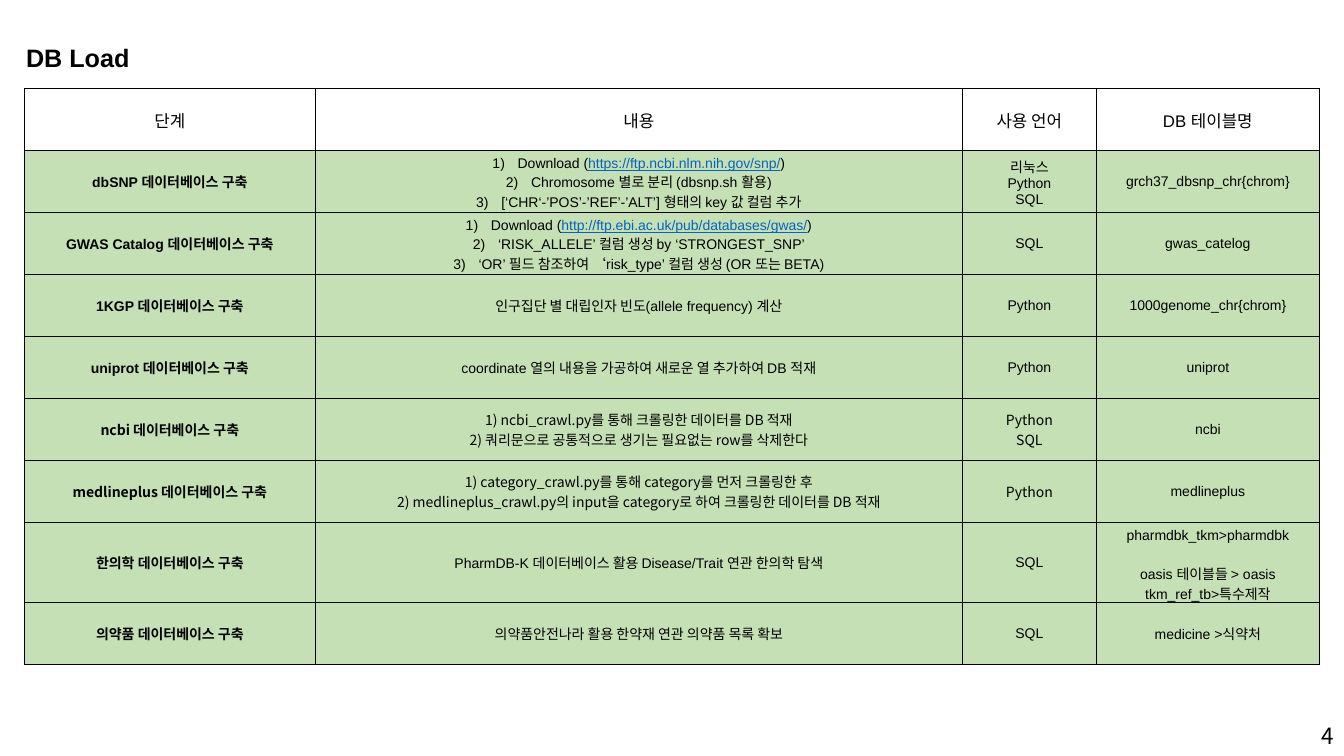
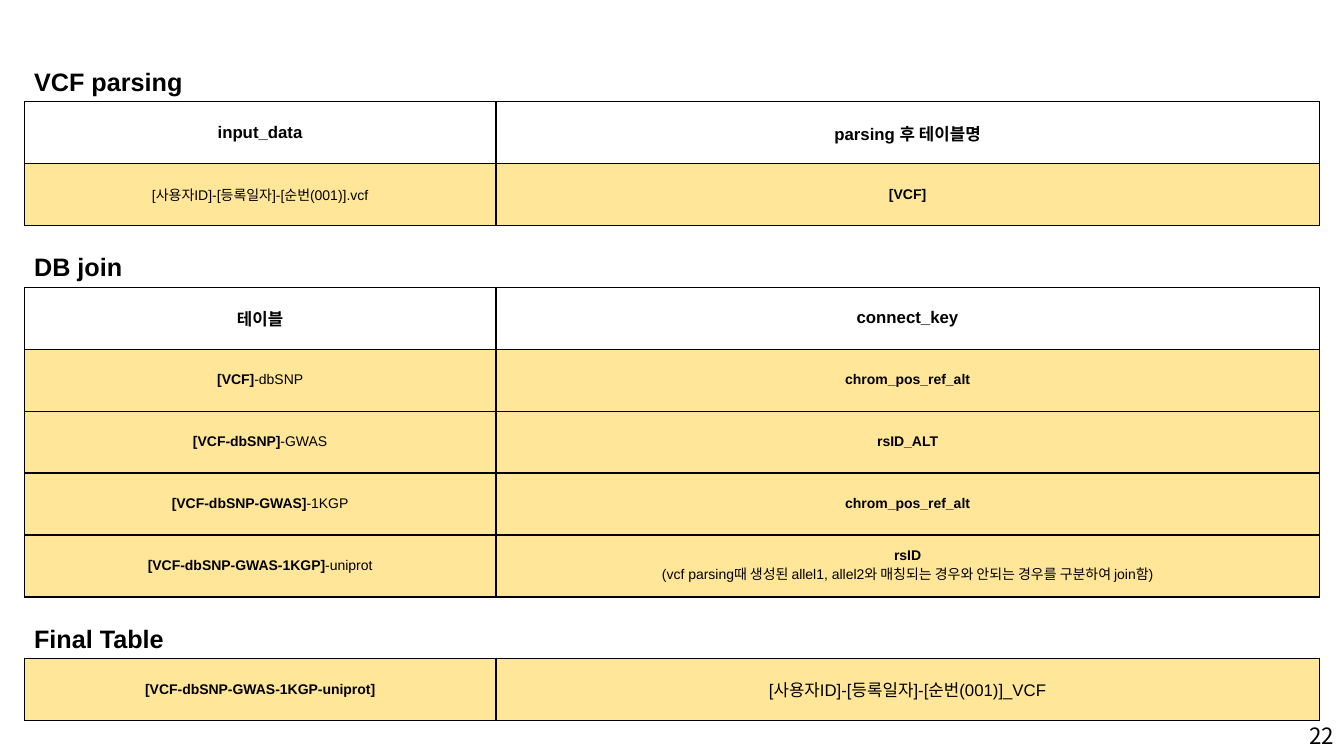
import collections
import pptx
import pptx.dml.color
import pptx.enum.text
import pptx.oxml.ns
import pptx.util
import lxml.etree

Pt = pptx.util.Pt
ALIGN = pptx.enum.text.PP_ALIGN
ANCHOR = pptx.enum.text.MSO_ANCHOR
HUES = {"ink": "000000", "page": "FFFFFF", "link": "0563C1",
        "green": "C5E0B4", "gold": "FFE699"}
SANS = "Arial"
NOTO = "Noto Sans CJK KR"
LEFT = 17.3
ROW = 44.3
HEAD = 28.8

Para = collections.namedtuple("Para", "runs bold num gap", defaults=(False, False, 0))
Cell = collections.namedtuple("Cell", "paras size font", defaults=(10, SANS))


def hue(name):
    return pptx.dml.color.RGBColor.from_string(HUES[name])


def node(base, tag, **attrs):
    return lxml.etree.SubElement(base, pptx.oxml.ns.qn(tag), attrs)


def plain(text, size=10, font=SANS, bold=False):
    return Cell([Para([(line, "")], bold) for line in text.split("\n")], size, font)


def strong(text, size=10, font=SANS):
    return plain(text, size, font, True)


def steps(*lines):
    return Cell([Para(line if isinstance(line, list) else [(line, "")], num=True)
                 for line in lines])


def load(url):
    return [("Download (", ""), (url, "link"), (")", "")]


def joint(base, added):
    return Cell([Para([(base, "bold"), (added, "")])])


def write(frame, cell, align):
    for i, item in enumerate(cell.paras):
        para = frame.paragraphs[0] if i == 0 else frame.add_paragraph()
        para.alignment = align
        if item.gap:
            para.space_before = Pt(item.gap)
        if item.num:
            props = para._p.get_or_add_pPr()
            props.set("marL", str(Pt(18)))
            props.set("indent", str(-Pt(18)))
            node(props, "a:buFont", typeface=SANS)
            node(props, "a:buAutoNum", type="arabicParenR")
        font = para.font
        font.size = Pt(cell.size)
        font.name = cell.font
        font.bold = item.bold
        font.color.rgb = hue("ink")
        node(font._element, "a:ea", typeface=NOTO)
        for text, kind in item.runs:
            run = para.add_run()
            run.text = text
            if kind == "bold":
                run.font.bold = True
            elif kind == "link":
                run.font.color.rgb = hue("link")
                run.font.underline = True


def label(slide, box, cell, align=ALIGN.LEFT, anchor=ANCHOR.TOP):
    frame = slide.shapes.add_textbox(*map(Pt, box)).text_frame
    frame.word_wrap = True
    frame.vertical_anchor = anchor
    write(frame, cell, align)


def frame_cell(cell):
    props = cell._tc.get_or_add_tcPr()
    for side in "LRTB":
        line = node(props, "a:ln" + side, w=str(Pt(1)))
        fill = node(line, "a:solidFill")
        node(fill, "a:srgbClr", val=HUES["ink"])


def grid(slide, left, top, cols, rows, fill, head=True):
    shape = slide.shapes.add_table(len(rows), len(cols), Pt(left), Pt(top),
                                   Pt(sum(cols)), Pt(ROW * len(rows)))
    table = shape.table
    table.first_row = False
    table.horz_banding = False
    for col, width in zip(table.columns, cols):
        col.width = Pt(width)
    for r, row in enumerate(rows):
        table.rows[r].height = Pt(ROW)
        for c, item in enumerate(row):
            cell = table.cell(r, c)
            cell.vertical_anchor = ANCHOR.MIDDLE
            frame_cell(cell)
            cell.fill.solid()
            cell.fill.fore_color.rgb = hue("page" if head and r == 0 else fill)
            write(cell.text_frame, item, ALIGN.CENTER)


def title(slide, left, top, text):
    label(slide, (left, top, 203, HEAD), strong(text, 18))


def page(deck, number):
    slide = deck.slides.add_slide(deck.slide_layouts[6])
    label(slide, (744, 511.2, 216, HEAD), plain(number, 16, NOTO),
          ALIGN.RIGHT, ANCHOR.MIDDLE)
    return slide


def load_slide(deck):
    slide = page(deck, "4")
    title(slide, 11.5, 26.6, "DB Load")
    build = " 데이터베이스 구축"
    names = Cell([Para([("pharmdbk_tkm>pharmdbk", "")]),
                  Para([("oasis 테이블들 > oasis", "")], gap=14),
                  Para([("tkm_ref_tb>특수제작", "")])])
    rows = [
        [plain(text, 12) for text in ("단계", "내용", "사용 언어", "DB 테이블명")],
        [strong("dbSNP" + build),
         steps(load("https://ftp.ncbi.nlm.nih.gov/snp/"),
               "Chromosome 별로 분리 (dbsnp.sh 활용)",
               "[‘CHR‘-’POS’-’REF’-’ALT’] 형태의 key 값 컬럼 추가"),
         plain("리눅스\nPython\nSQL"), plain("grch37_dbsnp_chr{chrom}")],
        [strong("GWAS Catalog" + build),
         steps(load("http://ftp.ebi.ac.uk/pub/databases/gwas/"),
               "‘RISK_ALLELE’ 컬럼 생성 by ‘STRONGEST_SNP’",
               "‘OR’ 필드 참조하여 ‘risk_type’ 컬럼 생성 (OR 또는 BETA)"),
         plain("SQL"), plain("gwas_catelog")],
        [strong("1KGP" + build),
         plain("인구집단 별 대립인자 빈도(allele frequency) 계산"),
         plain("Python"), plain("1000genome_chr{chrom}")],
        [strong("uniprot" + build),
         plain("coordinate 열의 내용을 가공하여 새로운 열 추가하여 DB 적재"),
         plain("Python"), plain("uniprot")],
        [strong("ncbi" + build, font=NOTO),
         plain("1) ncbi_crawl.py를 통해 크롤링한 데이터를 DB 적재\n"
               "2) 쿼리문으로 공통적으로 생기는 필요없는 row를 삭제한다", font=NOTO),
         plain("Python\nSQL", font=NOTO), plain("ncbi")],
        [strong("medlineplus" + build, font=NOTO),
         plain("1) category_crawl.py를 통해 category를 먼저 크롤링한 후\n"
               "2) medlineplus_crawl.py의 input을 category로 하여 "
               "크롤링한 데이터를 DB 적재", font=NOTO),
         plain("Python", font=NOTO), plain("medlineplus")],
        [strong("한의학" + build),
         plain("PharmDB-K 데이터베이스 활용 Disease/Trait 연관 한의학 탐색"),
         plain("SQL"), names],
        [strong("의약품" + build),
         plain("의약품안전나라 활용 한약재 연관 의약품 목록 확보"),
         plain("SQL"), plain("medicine >식약처")],
    ]
    grid(slide, LEFT, 63.4, (208, 462, 96, 159), rows, "green")


def join_slide(deck):
    slide = page(deck, "22")
    user = "[사용자ID]-[등록일자]-[순번(001)]"
    key = strong("chrom_pos_ref_alt")
    match = Cell([Para([("rsID", "")], True),
                  Para([("(vcf parsing때 생성된 allel1, allel2와 매칭되는 경우와 "
                         "안되는 경우를 구분하여 join함)", "")])])
    parts = [
        ("VCF parsing", True, [
            [strong("input_data", 12), strong("parsing 후 테이블명", 12)],
            [plain(user + ".vcf"), strong("[VCF]")]]),
        ("DB join", True, [
            [strong("테이블", 12), strong("connect_key", 12)],
            [joint("[VCF]", "-dbSNP"), key],
            [joint("[VCF-dbSNP]", "-GWAS"), strong("rsID_ALT")],
            [joint("[VCF-dbSNP-GWAS]", "-1KGP"), key],
            [joint("[VCF-dbSNP-GWAS-1KGP]", "-uniprot"), match]]),
        ("Final Table", False, [
            [strong("[VCF-dbSNP-GWAS-1KGP-uniprot]"), plain(user + "_VCF", 12)]]),
    ]
    top = 43.9
    for text, head, rows in parts:
        title(slide, LEFT, top, text)
        grid(slide, LEFT, top + HEAD, (337, 588), rows, "gold", head)
        top += HEAD + ROW * len(rows) + 15


def main():
    deck = pptx.Presentation()
    deck.slide_width = Pt(960)
    deck.slide_height = Pt(540)
    load_slide(deck)
    join_slide(deck)
    deck.save("out.pptx")


if __name__ == "__main__":
    main()
